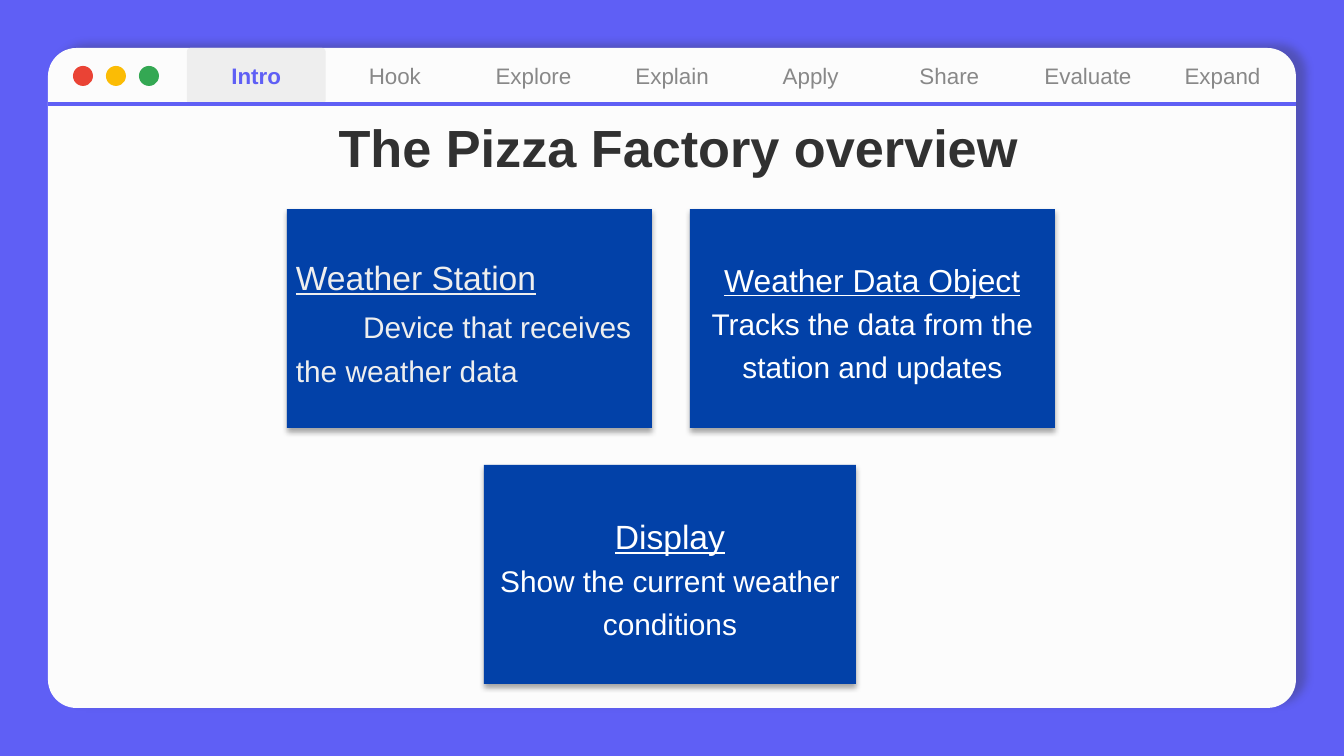
from lxml import etree
from pptx import Presentation
from pptx.dml.color import RGBColor
from pptx.enum.shapes import MSO_CONNECTOR, MSO_SHAPE
from pptx.enum.text import MSO_ANCHOR, MSO_AUTO_SIZE, PP_ALIGN
from pptx.oxml.ns import qn
from pptx.util import Emu, Pt

LEFT, CENTER = PP_ALIGN.LEFT, PP_ALIGN.CENTER
TOP, MIDDLE = MSO_ANCHOR.TOP, MSO_ANCHOR.MIDDLE
RECT, OVAL = MSO_SHAPE.RECTANGLE, MSO_SHAPE.OVAL
ROUNDED, ONE_ROUND = MSO_SHAPE.ROUNDED_RECTANGLE, MSO_SHAPE.ROUND_1_RECTANGLE
STRAIGHT = MSO_CONNECTOR.STRAIGHT
FONT = "Arial"

COLORS = {
    "accent": "5F5FF5", "window": "FCFCFC", "ink": "313131", "muted": "888888",
    "active": "EEEEEE", "card": "0241A8", "white": "FFFFFF", "black": "000000",
    "red": "EA4335", "yellow": "FBBC05", "green": "34A853",
}
TITLE = "The Pizza Factory overview"
TABS = ["Intro", "Hook", "Explore", "Explain", "Apply", "Share", "Evaluate", "Expand"]
ACTIVE_TAB = "Intro"
DOTS = ["red", "yellow", "green"]
CARDS = [
    {"box": (287, 209, 365, 219), "color": "active", "size": 18, "align": LEFT,
     "heading": ["Weather Station\t"],
     "body": ["\t", "Device that receives the weather data"],
     "indent": 55, "stops": (341, 139)},
    {"box": (690, 209, 365, 219), "color": "white", "size": 17, "align": CENTER,
     "heading": ["Weather Data Object"],
     "body": ["Tracks the data from the station and updates"]},
    {"box": (484, 465, 372, 219), "color": "white", "size": 18, "align": CENTER,
     "heading": ["Display"],
     "body": ["Show the current weather conditions"]},
]
WINDOW = (48, 48, 1248, 660)
TAB_LEFT, TAB_HEIGHT = 187, 56
DOT_LEFT, DOT_TOP, DOT_SIZE, DOT_PITCH = 73, 66, 20, 33


def px(value):
    return Emu(round(value * 914400 / 134.4))


def rgb(name):
    return RGBColor.from_string(COLORS[name])


def add_box(slide, kind, box, fill=None, radius=None):
    shape = slide.shapes.add_shape(kind, *map(px, box))
    shape.shadow.inherit = False
    shape.line.fill.background()
    if fill:
        shape.fill.solid()
        shape.fill.fore_color.rgb = rgb(fill)
    else:
        shape.fill.background()
    if radius is not None:
        shape.adjustments[0] = radius
    return shape


def add_shadow(shape, color, alpha, blur, distance, angle):
    effects = shape._element.spPr.find(qn("a:effectLst"))
    shadow = etree.SubElement(
        effects, qn("a:outerShdw"), blurRad=str(Pt(blur)), dist=str(Pt(distance)),
        dir=str(angle * 60000), algn="bl", rotWithShape="0")
    tint = etree.SubElement(shadow, qn("a:srgbClr"), val=COLORS[color])
    etree.SubElement(tint, qn("a:alpha"), val=str(alpha * 1000))


def set_frame(shape, anchor=MIDDLE, inset=0):
    frame = shape.text_frame
    frame.word_wrap = True
    frame.auto_size = MSO_AUTO_SIZE.NONE
    frame.vertical_anchor = anchor
    frame.margin_left = frame.margin_right = px(inset)
    frame.margin_top = frame.margin_bottom = px(inset)
    return frame


def write(para, text, size=12, color="muted", bold=False, underline=False,
          align=CENTER, spacing=1.0, after=0):
    para.alignment = align
    para.line_spacing = spacing
    para.space_before, para.space_after = Pt(0), Pt(after)
    span = para.add_run()
    span.text = text
    span.font.name = FONT
    span.font.size = Pt(size)
    span.font.bold = bold
    span.font.underline = underline
    span.font.color.rgb = rgb(color)


def set_tab_stop(para, stop, indent=0):
    properties = para._p.get_or_add_pPr()
    properties.set("marL", "0")
    properties.set("indent", str(px(indent)))
    stops = etree.SubElement(properties, qn("a:tabLst"))
    etree.SubElement(stops, qn("a:tab"), pos=str(px(stop)), algn="l")


def add_card(slide, card):
    shape = add_box(slide, RECT, card["box"], "card")
    add_shadow(shape, "black", 35, 3.1, 1.8, 90)
    frame = set_frame(shape, inset=9)
    heading, body = frame.paragraphs[0], frame.add_paragraph()
    look = {"color": card["color"], "align": card["align"], "spacing": 1.2}
    for text in card["heading"]:
        write(heading, text, size=card["size"], underline=True, **look)
    for text in card["body"]:
        leader = text == "\t"
        write(body, text, size=card["size"] if leader else 16,
              underline=leader, after=6, **look)
    if "stops" in card:
        set_tab_stop(heading, card["stops"][0])
        set_tab_stop(body, card["stops"][1], card["indent"])


def add_header(slide):
    left, top, width, height = WINDOW
    right = left + width
    tab_width = (right - TAB_LEFT) / len(TABS)
    for index, name in enumerate(TABS):
        active, last = name == ACTIVE_TAB, index == len(TABS) - 1
        box = (TAB_LEFT + index * tab_width, top, tab_width, TAB_HEIGHT)
        tab = add_box(slide, ONE_ROUND if last else ROUNDED, box,
                      "active" if active else None, 0.5 if last else 0.06)
        write(set_frame(tab).paragraphs[0], name, bold=active,
              color="accent" if active else "muted")
    for index, color in enumerate(DOTS):
        add_box(slide, OVAL, (DOT_LEFT + index * DOT_PITCH, DOT_TOP, DOT_SIZE, DOT_SIZE), color)
    base = top + TAB_HEIGHT
    rule = slide.shapes.add_connector(STRAIGHT, px(left), px(base), px(right), px(base))
    rule.line.color.rgb = rgb("accent")
    rule.line.width = Pt(2.25)
    etree.SubElement(rule._element.spPr, qn("a:effectLst"))


def add_title(slide):
    title = slide.shapes.title
    title.left, title.top, title.width, title.height = map(px, (73, 114, 1210, 87))
    frame = set_frame(title, anchor=TOP, inset=13)
    write(frame.paragraphs[0], TITLE, size=28, color="ink", bold=True, spacing=0.8)
    slide.shapes._spTree.append(title._element)


def main():
    deck = Presentation()
    deck.slide_width, deck.slide_height = px(1344), px(756)
    page = deck.slides.add_slide(deck.slide_layouts[5])
    page.background.fill.solid()
    page.background.fill.fore_color.rgb = rgb("accent")
    window = add_box(page, ROUNDED, WINDOW, "window", 0.043)
    add_shadow(window, "ink", 30, 4.5, 6, 342)
    add_header(page)
    add_title(page)
    for card in CARDS:
        add_card(page, card)
    deck.save("out.pptx")


if __name__ == "__main__":
    main()
